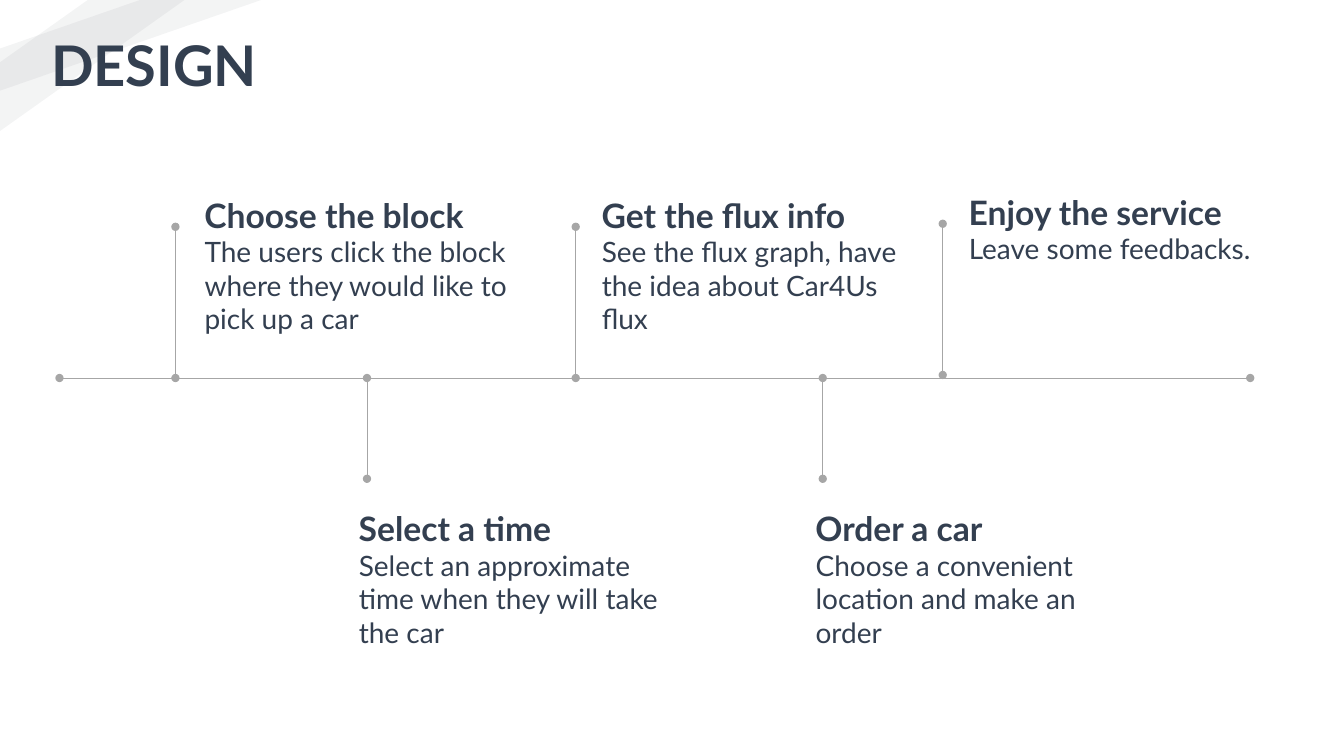
"""Build the DESIGN slide: a five-step timeline with pins above and below an axis."""
from lxml.etree import SubElement
from pptx import Presentation
from pptx.dml.color import RGBColor
from pptx.enum.shapes import MSO_CONNECTOR, MSO_SHAPE
from pptx.enum.text import MSO_ANCHOR
from pptx.oxml.ns import qn
from pptx.util import Inches, Pt

COLORS = {"text": "333F50", "line": "A6A6A6", "stripe": "222A35"}
FONT = "Lato"
TITLE = "DESIGN"
STRIPES = [(2.59, 0.9, 0.536), (1.83, 1.3, 0.476)]
AXIS = {"left": 0.59, "right": 12.4, "y": 3.75}
PIN = {"up": 1.5, "down": 1.0}
HEADING_GAP = {"up": -0.37, "down": 0.24}
BODY_DROP = 0.4
LINE_HEIGHT = 1 / 3
STEPS = [
    {"side": "up", "x": 1.74, "lift": 0, "text_x": 1.93, "width": 3.21, "lines": 3,
     "heading": "Choose the block",
     "body": "The users click the block where they would like to pick up a car"},
    {"side": "down", "x": 3.64, "lift": 0, "text_x": 3.46, "width": 3.35, "lines": 3,
     "heading": "Select a time",
     "body": "Select an approximate time when they will take the car"},
    {"side": "up", "x": 5.71, "lift": 0, "text_x": 5.87, "width": 3.21, "lines": 3,
     "heading": "Get the flux info",
     "body": "See the flux graph, have the idea about Car4Us flux"},
    {"side": "down", "x": 8.16, "lift": 0, "text_x": 7.99, "width": 3.21, "lines": 3,
     "heading": "Order a car",
     "body": "Choose a convenient location and make an order"},
    {"side": "up", "x": 9.35, "lift": 0.03, "text_x": 9.51, "width": 3.21, "lines": 1,
     "heading": "Enjoy the service",
     "body": "Leave some feedbacks."},
]


def add_stripe(s, width, height, adjustment):
    sp = s.shapes.add_shape(MSO_SHAPE.DIAGONAL_STRIPE, 0, 0, Inches(width), Inches(height))
    sp.adjustments[0] = adjustment
    sp.shadow.inherit = False
    sp.line.fill.background()
    sp.fill.solid()
    sp.fill.fore_color.rgb = RGBColor.from_string(COLORS["stripe"])
    color = sp._element.spPr.find(qn("a:solidFill"))[0]
    SubElement(color, qn("a:alpha"), val="5000")


def add_dotted_line(s, x1, y1, x2, y2):
    sp = s.shapes.add_connector(MSO_CONNECTOR.STRAIGHT, *map(Inches, (x1, y1, x2, y2)))
    sp.line.color.rgb = RGBColor.from_string(COLORS["line"])
    sp.line.width = Pt(0.5)
    ln = sp.line._get_or_add_ln()
    for end in ("a:headEnd", "a:tailEnd"):
        SubElement(ln, qn(end), type="oval")
    SubElement(sp._element.spPr, qn("a:effectLst"))


def add_text(s, text, left, top, width, height, size, bold=False):
    tf = s.shapes.add_textbox(*map(Inches, (left, top, width, height))).text_frame
    tf.word_wrap = True
    tf.vertical_anchor = MSO_ANCHOR.TOP
    r = tf.paragraphs[0].add_run()
    r.text = text
    r.font.name = FONT
    r.font.size = Pt(size)
    r.font.bold = bold
    r.font.color.rgb = RGBColor.from_string(COLORS["text"])


def add_step(s, step):
    side = step["side"]
    base = AXIS["y"] - step["lift"]
    tip = base - PIN["up"] if side == "up" else base + PIN["down"]
    add_dotted_line(s, step["x"], min(base, tip), step["x"], max(base, tip))
    top = tip + HEADING_GAP[side]
    body_height = step["lines"] * LINE_HEIGHT + 0.1
    add_text(s, step["body"], step["text_x"], top + BODY_DROP, step["width"], body_height, 20)
    add_text(s, step["heading"], step["text_x"], top, 2.9, 0.5, 24, bold=True)


def main():
    prs = Presentation()
    prs.slide_width, prs.slide_height = Inches(13.33), Inches(7.5)
    s = prs.slides.add_slide(prs.slide_layouts[6])
    for stripe in STRIPES:
        add_stripe(s, *stripe)
    add_text(s, TITLE, 0.41, 0.25, 5.72, 0.63, 40, bold=True)
    add_dotted_line(s, AXIS["left"], AXIS["y"], AXIS["right"], AXIS["y"])
    for step in STEPS:
        add_step(s, step)
    prs.save("out.pptx")


if __name__ == "__main__":
    main()
